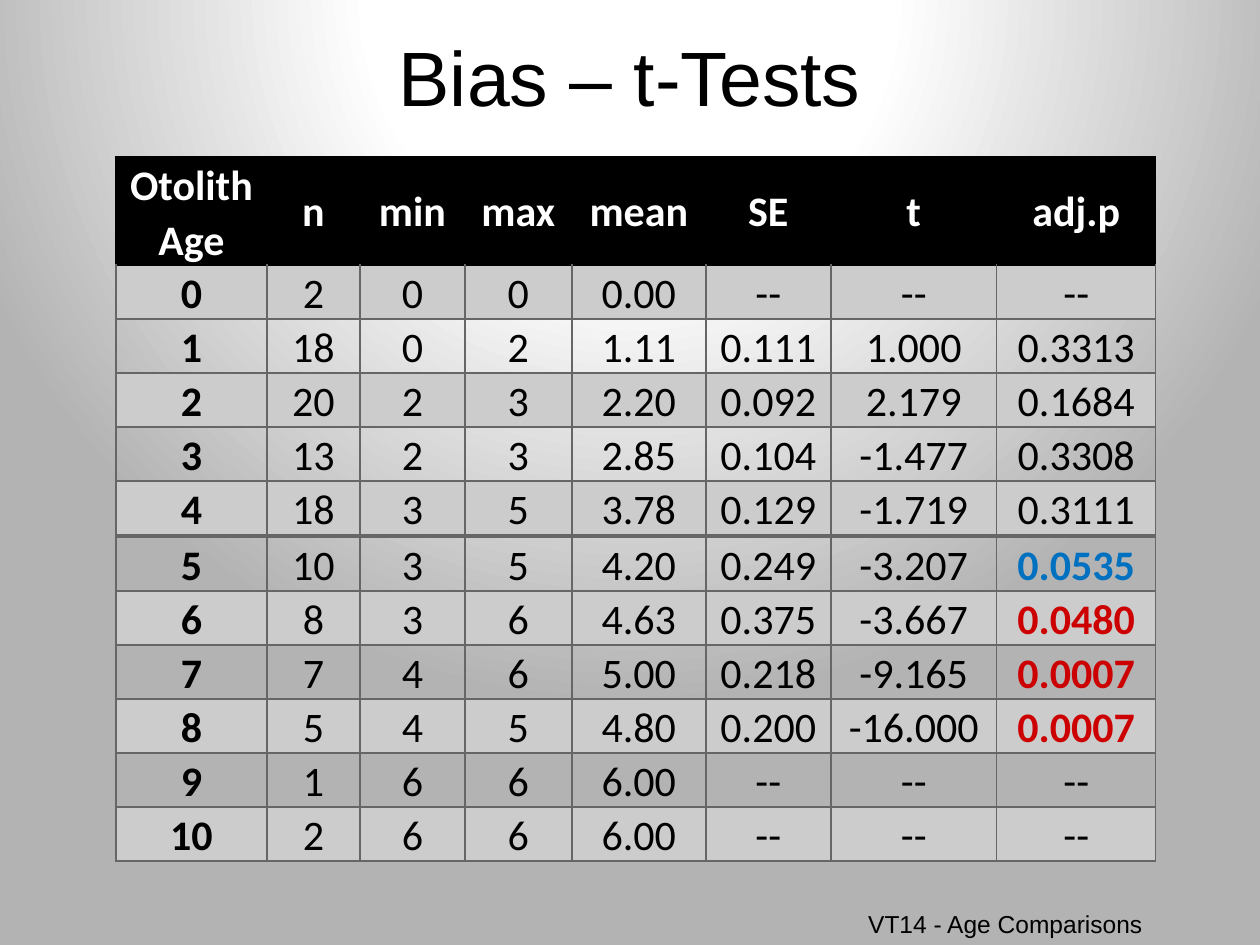
"""Build the slide of t-tests for ageing bias by otolith age."""
from lxml.etree import fromstring
from pptx import Presentation
from pptx.dml.color import RGBColor
from pptx.enum.text import MSO_ANCHOR, PP_ALIGN
from pptx.oxml.ns import nsdecls
from pptx.util import Emu, Pt

PX = 914400 / 126
C = {"black": "000000", "white": "FFFFFF", "grey": "B3B3B3", "band": "CCCCCC",
     "line": "666666", "blue": "0070C0", "red": "CC0000"}


def px(*lengths):
    return [Emu(round(n * PX)) for n in lengths]


def put(tf, text, size=24, font="Calibri", color="black", bold=False,
        align=PP_ALIGN.CENTER, spacing=None):
    for i, line in enumerate(text.split("\n")):
        p = tf.add_paragraph() if i else tf.paragraphs[0]
        p.alignment = align
        p.line_spacing = spacing
        r = p.add_run()
        r.text = line
        r.font.size = Pt(size)
        r.font.name = font
        r.font.bold = bold
        r.font.color.rgb = RGBColor.from_string(C[color])


prs = Presentation()
prs.slide_width, prs.slide_height = px(1260, 945)
s = prs.slides.add_slide(prs.slide_layouts[6])

stops = "".join(f'<a:gs pos="{pos * 1000}"><a:srgbClr val="{C[name]}"/></a:gs>'
                for pos, name in [(0, "white"), (33, "white"), (90, "grey")])
s.element.cSld.insert(0, fromstring(
    f'<p:bg {nsdecls("p", "a")}><p:bgPr><a:gradFill rotWithShape="1">'
    f'<a:gsLst>{stops}</a:gsLst><a:path path="circle">'
    '<a:fillToRect l="50000" t="-80000" r="50000" b="180000"/></a:path>'
    '</a:gradFill><a:effectLst/></p:bgPr></p:bg>'))

for text, box, size, align, anchor in [
    ("Bias – t-Tests", (9, 16, 1242, 120), 44, PP_ALIGN.CENTER, MSO_ANCHOR.MIDDLE),
    ("VT14 - Age Comparisons", (756, 903, 399, 32), 14, PP_ALIGN.RIGHT, MSO_ANCHOR.TOP),
]:
    tf = s.shapes.add_textbox(*px(*box)).text_frame
    tf.word_wrap = True
    tf.vertical_anchor = anchor
    put(tf, text, size=size, font="Arial", align=align)

header = ["Otolith\nAge", "n", "min", "max", "mean", "SE", "t", "adj.p"]
rows = [
    ["0", "2", "0", "0", "0.00", "--", "--", "--"],
    ["1", "18", "0", "2", "1.11", "0.111", "1.000", "0.3313"],
    ["2", "20", "2", "3", "2.20", "0.092", "2.179", "0.1684"],
    ["3", "13", "2", "3", "2.85", "0.104", "-1.477", "0.3308"],
    ["4", "18", "3", "5", "3.78", "0.129", "-1.719", "0.3111"],
    ["5", "10", "3", "5", "4.20", "0.249", "-3.207", "0.0535"],
    ["6", "8", "3", "6", "4.63", "0.375", "-3.667", "0.0480"],
    ["7", "7", "4", "6", "5.00", "0.218", "-9.165", "0.0007"],
    ["8", "5", "4", "5", "4.80", "0.200", "-16.000", "0.0007"],
    ["9", "1", "6", "6", "6.00", "--", "--", "--"],
    ["10", "2", "6", "6", "6.00", "--", "--", "--"],
]
marked = {"0.0535": "blue", "0.0480": "red", "0.0007": "red"}
widths = [151, 93, 105, 107, 134, 125, 166, 159]

for top, height, block in [(157, 378, [header] + rows[:5]), (537, 324, rows[5:])]:
    frame = s.shapes.add_table(len(block), len(widths),
                               *px(116, top, sum(widths), height))
    tbl = frame.table
    tbl.first_row = tbl.horz_banding = False
    for col, width in zip(tbl.columns, px(*widths)):
        col.width = width
    for i, values in enumerate(block):
        is_head = values is header
        tbl.rows[i].height = px(107 if is_head else 53)[0]
        for j, text in enumerate(values):
            cell = tbl.cell(i, j)
            cell.margin_left, cell.margin_right = px(9, 9)
            cell.margin_top = cell.margin_bottom = 0
            cell.vertical_anchor = MSO_ANCHOR.MIDDLE if is_head else MSO_ANCHOR.TOP
            tcPr = cell._tc.get_or_add_tcPr()
            for side in "LRTB":
                dark = is_head or (side == "T" and i == 1 and block[0] is header)
                tcPr.append(fromstring(
                    f'<a:ln{side} {nsdecls("a")} w="12700"><a:solidFill><a:srgbClr '
                    f'val="{C["black" if dark else "line"]}"/></a:solidFill></a:ln{side}>'))
            if is_head or int(values[0]) % 2 == 0:
                cell.fill.solid()
                cell.fill.fore_color.rgb = RGBColor.from_string(
                    C["black" if is_head else "band"])
            else:
                cell.fill.background()
            put(cell.text_frame, text, spacing=1.07,
                color="white" if is_head else marked.get(text, "black"),
                bold=is_head or j == 0 or text in marked)

prs.save("out.pptx")
